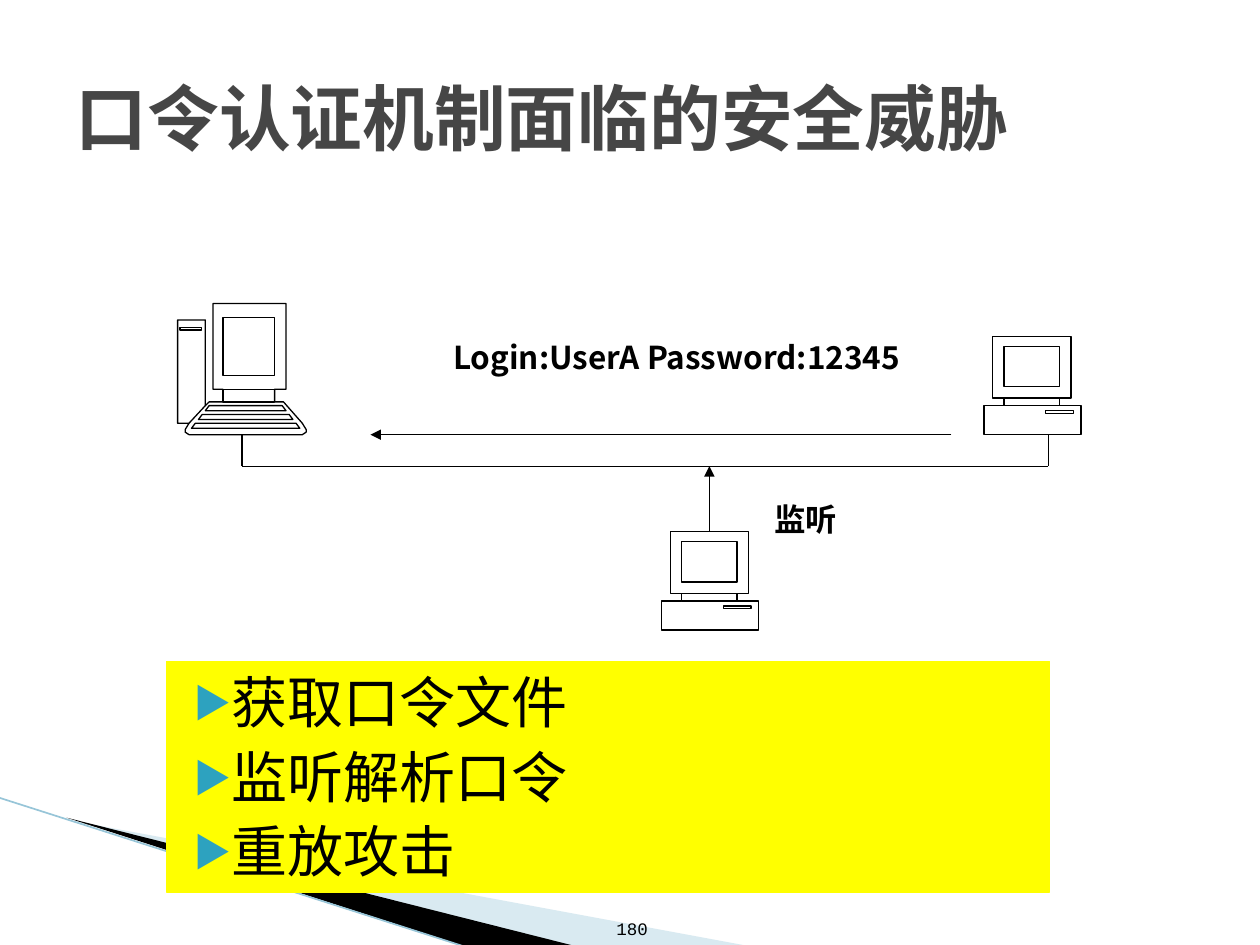
from lxml.etree import SubElement
from pptx import Presentation
from pptx.dml.color import RGBColor
from pptx.enum.shapes import MSO_CONNECTOR as Connector, MSO_SHAPE as Shape
from pptx.enum.text import MSO_ANCHOR as Anchor, PP_ALIGN as Align
from pptx.oxml.ns import qn
from pptx.util import Inches, Pt

BLACK = RGBColor(0x00, 0x00, 0x00)
WHITE = RGBColor(0xFF, 0xFF, 0xFF)
YELLOW = RGBColor(0xFF, 0xFF, 0x00)
GREY = RGBColor(0x46, 0x46, 0x46)
PALE_BLUE = RGBColor(0xA0, 0xCB, 0xDC)
EDGE_BLUE = RGBColor(0x97, 0xC5, 0xD8)
BULLET_BLUE = RGBColor(0x2D, 0xA2, 0xBF)

SANS = "Noto Sans CJK SC"
TITLE = {"name": SANS, "size": Pt(41), "bold": True}
LABEL = {"name": SANS, "size": Pt(18), "bold": True}
BULLET = {"name": SANS, "size": Pt(32), "bold": False}
NUMBER = {"name": "Courier New", "size": Pt(10)}
LABEL_INSETS = {"margin_left": Inches(0.02), "margin_right": Inches(0.02),
                "margin_top": Inches(0.01), "margin_bottom": Inches(0.01)}


def set_values(target, values):
    for name, value in values.items():
        setattr(target, name, value)


def write(para, text, style, color=BLACK):
    span = para.add_run()
    span.text = text
    span.font.color.rgb = color
    set_values(span.font, style)
    SubElement(span.font._element, qn("a:ea"), typeface=style["name"])


def add_outline(page, left, top, contours, close=True):
    def place(point):
        return Inches(left + point[0]), Inches(top + point[1])

    builder = page.shapes.build_freeform(*place(contours[0][0]))
    for index, points in enumerate(contours):
        if index:
            builder.move_to(*place(points[0]))
        builder.add_line_segments([place(point) for point in points[1:]], close=close)
    outline = builder.convert_to_shape()
    outline.shadow.inherit = False
    return outline


def add_line(page, start, end, color=BLACK, width=0.75, arrow=False):
    line = page.shapes.add_connector(Connector.STRAIGHT, *map(Inches, start + end))
    line.line.color.rgb = color
    line.line.width = Pt(width)
    if arrow:
        SubElement(line.line._get_or_add_ln(), qn("a:tailEnd"), type="triangle")
    SubElement(line._element.spPr, qn("a:effectLst"))


def add_panel(page, box, fill):
    panel = page.shapes.add_shape(Shape.RECTANGLE, *map(Inches, box))
    panel.shadow.inherit = False
    panel.fill.solid()
    panel.fill.fore_color.rgb = fill
    panel.line.fill.background()
    panel.text_frame.word_wrap = True
    return panel


def add_label(page, box, text):
    frame = add_panel(page, box, WHITE).text_frame
    set_values(frame, LABEL_INSETS)
    frame.vertical_anchor = Anchor.TOP
    para = frame.paragraphs[0]
    para.alignment = Align.CENTER
    write(para, text, LABEL)


def rectangle(left, top, right, bottom):
    return [(left, top), (right, top), (right, bottom), (left, bottom)]


def add_machine(page, left, top, contours):
    machine = add_outline(page, left, top, contours)
    machine.fill.background()
    machine.line.color.rgb = BLACK
    machine.line.width = Pt(0.75)


def add_desktop(page, left, top):
    case = [(0.6, 0.55), (0.6, 0.49), (0.69, 0.49), (0.69, 0), (0.07, 0),
            (0.07, 0.49), (0.16, 0.49), (0.16, 0.55), (0, 0.55),
            (0, 0.78), (0.77, 0.78), (0.77, 0.55)]
    neck = rectangle(0.16, 0.49, 0.6, 0.55)
    screen = rectangle(0.16, 0.08, 0.6, 0.4)
    slot = rectangle(0.49, 0.59, 0.71, 0.61)
    add_machine(page, left, top, [case, neck, screen, slot])


def add_workstation(page, left, top):
    case = [(0.22, 0.81), (0.25, 0.78), (0.36, 0.78), (0.36, 0.68), (0.28, 0.68),
            (0.28, 0), (0.86, 0), (0.86, 0.68), (0.77, 0.68), (0.77, 0.78),
            (0.84, 0.78), (0.99, 0.95), (1.02, 1), (1.02, 1.02), (0.99, 1.04),
            (0.09, 1.04), (0.06, 1.02), (0.06, 1), (0.09, 0.95), (0, 0.95),
            (0, 0.13), (0.22, 0.13)]
    edge = [(0.22, 0.81), (0.09, 0.95)]
    screen = rectangle(0.36, 0.11, 0.77, 0.57)
    neck = rectangle(0.36, 0.68, 0.77, 0.78)
    slot = rectangle(0.02, 0.19, 0.19, 0.21)
    keys = []
    for row in range(3):
        inset, upper = 0.055 * row, 0.81 + 0.07 * row
        keys.append([(0.25 - inset, upper), (0.83 + inset, upper),
                     (0.86 + inset, upper + 0.04), (0.22 - inset, upper + 0.04)])
    add_machine(page, left, top, [case, edge, screen, neck, slot, *keys])


def add_backdrop(page, left, top):
    wedges = [
        ([(0.56, 0.18), (5.96, 1.18), (4.57, 1.18)], PALE_BLUE, 40),
        ([(0.54, 0.16), (4.58, 1.18), (3.73, 1.19)], BLACK, 100),
    ]
    for points, color, opacity in wedges:
        wedge = add_outline(page, left, top, [points])
        wedge.fill.solid()
        wedge.fill.fore_color.rgb = color
        wedge.line.fill.background()
        if opacity < 100:
            tint = wedge._element.spPr.find(".//" + qn("a:srgbClr"))
            SubElement(tint, qn("a:alpha"), val=str(opacity * 1000))
    add_line(page, (left, top), (left + 3.72, top + 1.19), EDGE_BLUE, 0.95)


def add_title(page, box, text):
    title = page.shapes.title
    set_values(title, dict(zip(("left", "top", "width", "height"), map(Inches, box))))
    title.text_frame.vertical_anchor = Anchor.MIDDLE
    para = title.text_frame.paragraphs[0]
    para.alignment = Align.LEFT
    write(para, text, TITLE, GREY)


def add_page_number(page, box, text):
    frame = page.shapes.add_textbox(*map(Inches, box)).text_frame
    frame.word_wrap = True
    frame.vertical_anchor = Anchor.BOTTOM
    para = frame.paragraphs[0]
    para.alignment = Align.RIGHT
    write(para, text, NUMBER)


def add_network(page, left, top):
    right, tap, bus = left + 6.91, left + 4.22, top + 1.29
    add_desktop(page, left + 6.4, top + 0.26)
    add_workstation(page, left, top)
    add_label(page, (left + 4.6, top + 1.55, 0.77, 0.52), "监听")
    add_desktop(page, left + 3.84, top + 1.81)
    for x in (left + 0.51, right):
        add_line(page, (x, top + 1.04), (x, bus))
    add_line(page, (left + 0.51, bus), (right, bus))
    add_line(page, (tap, top + 1.81), (tap, bus), arrow=True)
    add_line(page, (left + 6.14, top + 1.04), (left + 1.53, top + 1.04), arrow=True)
    add_label(page, (left + 2.04, top + 0.26, 3.84, 0.52), "Login:UserA Password:12345")


def add_threats(page, box, threats):
    panel = add_panel(page, box, YELLOW)
    panel.line.color.rgb = YELLOW
    panel.line.width = Pt(0.75)
    frame = panel.text_frame
    frame.vertical_anchor = Anchor.TOP
    for index, threat in enumerate(threats):
        para = frame.add_paragraph() if index else frame.paragraphs[0]
        props = para._p.get_or_add_pPr()
        props.set("marL", str(Inches(0.4)))
        props.set("indent", str(Inches(-0.28)))
        SubElement(SubElement(props, qn("a:buClr")), qn("a:srgbClr"), val=str(BULLET_BLUE))
        SubElement(props, qn("a:buSzPct"), val="68000")
        SubElement(props, qn("a:buFont"), typeface=SANS)
        SubElement(props, qn("a:buChar"), char="▶")
        set_values(para, {"alignment": Align.JUSTIFY, "line_spacing": Pt(38.5),
                          "space_before": Pt(4 if index else 0)})
        write(para, threat, BULLET)


def main():
    deck = Presentation()
    deck.slide_width, deck.slide_height = Inches(10), Inches(7.5)
    page = deck.slides.add_slide(deck.slide_layouts[5])
    add_backdrop(page, -0.01, 6.33)
    add_page_number(page, (4.68, 7.01, 0.56, 0.49), "180")
    add_title(page, (0.5, 0.3, 9, 1.25), "口令认证机制面临的安全威胁")
    add_network(page, 1.41, 2.41)
    add_threats(page, (1.32, 5.25, 7.01, 1.83), ["获取口令文件", "监听解析口令", "重放攻击"])
    deck.save("out.pptx")


if __name__ == "__main__":
    main()
